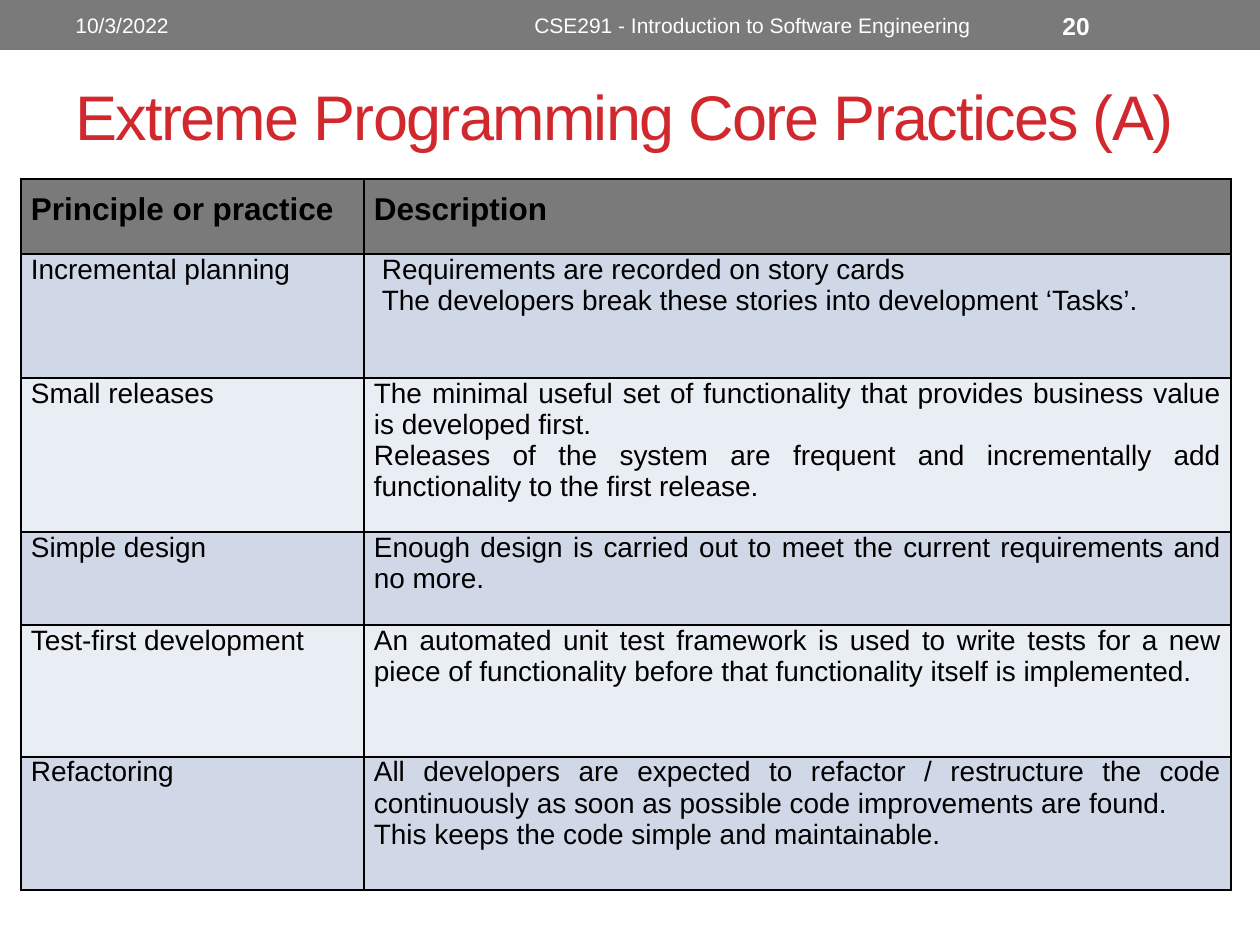
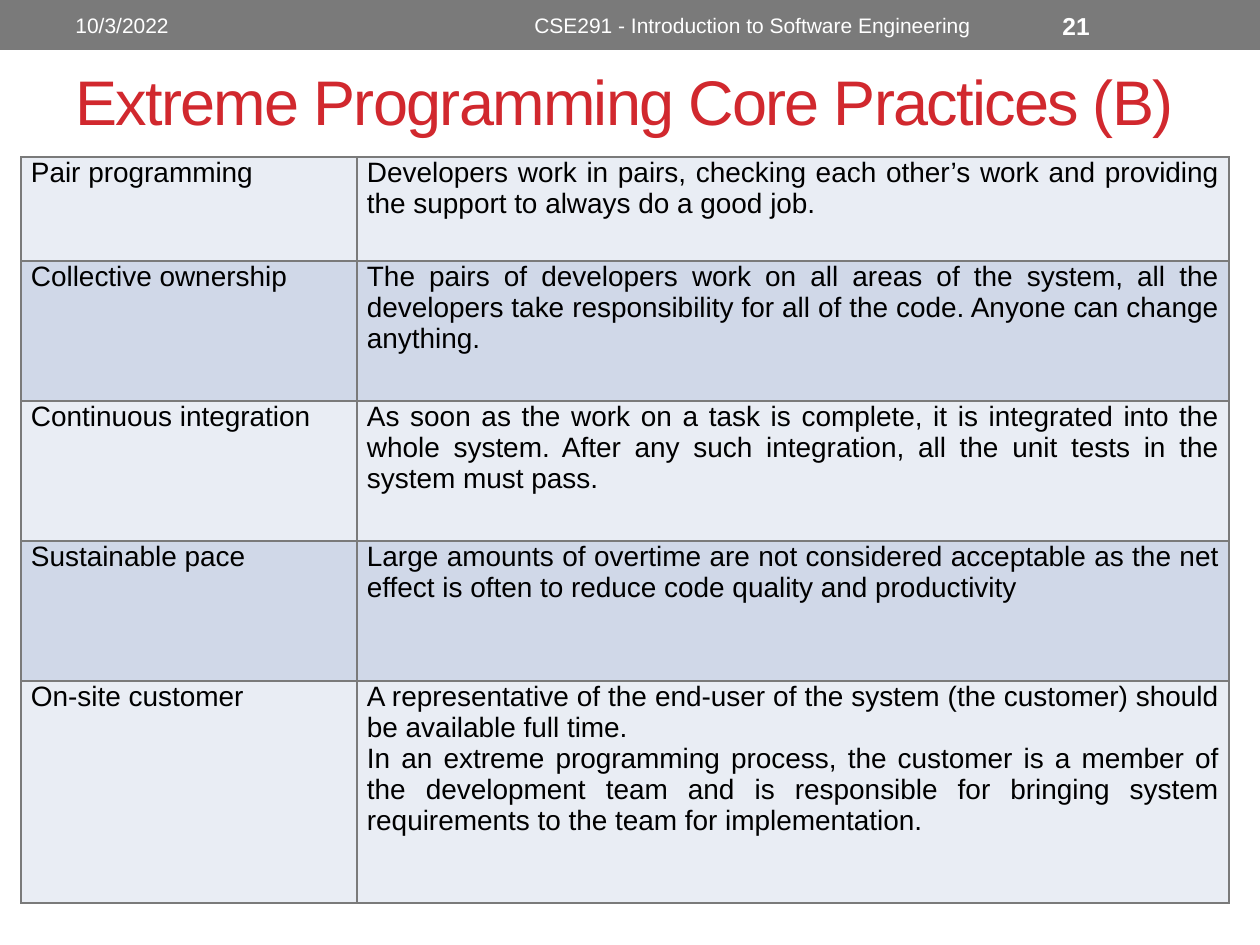
from dataclasses import dataclass

from lxml.etree import SubElement
from pptx import Presentation
from pptx.dml.color import RGBColor
from pptx.enum.shapes import MSO_SHAPE
from pptx.enum.text import MSO_ANCHOR, MSO_AUTO_SIZE, PP_ALIGN
from pptx.oxml.ns import qn
from pptx.util import Emu, Pt

# Shared look
WIDTH, HEIGHT = 1260, 945
FONT = "Arial"
RED = RGBColor(0xD1, 0x28, 0x2E)
GRAY = RGBColor(0x7A, 0x7A, 0x7A)
WHITE = RGBColor(0xFF, 0xFF, 0xFF)
BLACK = RGBColor(0x00, 0x00, 0x00)
BLUE = RGBColor(0xD0, 0xD8, 0xE8)
PALE = RGBColor(0xE9, 0xED, 0xF4)

DATE = "10/3/2022"
COURSE = "CSE291 - Introduction to Software Engineering "
TABLE_LEFT = 21
SIDE_MARGIN, END_MARGIN = 10, 13


def px(n: int) -> Emu:
    return Emu(round(n * 914400 / 126))


@dataclass(frozen=True)
class BandText:
    left: int
    width: int
    size: int
    align: PP_ALIGN = PP_ALIGN.LEFT
    bold: bool = False


DATE_BOX = BandText(63, 399, 12)
COURSE_BOX = BandText(472, 567, 12, PP_ALIGN.CENTER)
NUMBER_BOX = BandText(1050, 147, 14, bold=True)


@dataclass(frozen=True)
class Row:
    height: int
    practice: str
    description: str
    fill: RGBColor
    indent: int = 0
    header: bool = False


@dataclass(frozen=True)
class PracticeSlide:
    number: int
    title: str
    title_top: int
    title_height: int
    table_top: int
    columns: tuple[int, int]
    border: RGBColor
    rows: tuple[Row, ...]


# Content
SLIDES = (
    PracticeSlide(
        20, "Extreme Programming Core Practices (A)", 63, 105, 179, (343, 867), BLACK,
        (
            Row(75, "Principle or practice", "Description", GRAY, header=True),
            Row(124, "Incremental planning",
                "Requirements are recorded on story cards\n"
                "The developers break these stories into development ‘Tasks’.",
                BLUE, indent=8),
            Row(154, "Small releases",
                "The minimal useful set of functionality that provides business value "
                "is developed first.\n"
                "Releases of the system are frequent and incrementally add "
                "functionality to the first release.", PALE),
            Row(93, "Simple design",
                "Enough design is carried out to meet the current requirements and no more.",
                BLUE),
            Row(132, "Test-first development",
                "An automated unit test framework is used to write tests for a new piece of "
                "functionality before that functionality itself is implemented.", PALE),
            Row(133, "Refactoring",
                "All developers are expected to refactor / restructure the code "
                "continuously as soon as possible code improvements are found.\n"
                "This keeps the code simple and maintainable.", BLUE),
        ),
    ),
    PracticeSlide(
        21, "Extreme Programming Core Practices (B)", 53, 95, 157, (336, 872), GRAY,
        (
            Row(104, "Pair programming",
                "Developers work in pairs, checking each other’s work and providing "
                "the support to always do a good job.", PALE),
            Row(140, "Collective ownership",
                "The pairs of developers work on all areas of the system, all the developers "
                "take responsibility for all of the code. Anyone can change anything.", BLUE),
            Row(140, "Continuous integration",
                "As soon as the work on a task is complete, it is integrated into the whole "
                "system. After any such integration, all the unit tests in the system must "
                "pass.", PALE),
            Row(140, "Sustainable pace",
                "Large amounts of overtime are not considered acceptable as the net effect "
                "is often to reduce code quality and productivity", BLUE),
            Row(222, "On-site customer",
                "A representative of the end-user of the system (the customer) should be "
                "available full time.\n"
                "In an extreme programming process, the customer is a member of the "
                "development team and is responsible for bringing system requirements to "
                "the team for implementation.", PALE),
        ),
    ),
)


def style_text(tf, size: int, color: RGBColor, align: PP_ALIGN, bold: bool = False) -> None:
    for p in tf.paragraphs:
        p.alignment = align
        for r in p.runs:
            r.font.name = FONT
            r.font.size = Pt(size)
            r.font.bold = bold
            r.font.color.rgb = color


# Top band with date, course and slide number
def add_band_text(slide, text: str, box: BandText) -> None:
    sp = slide.shapes.add_textbox(px(box.left), px(3), px(box.width), px(45))
    tf = sp.text_frame
    tf.word_wrap = True
    tf.vertical_anchor = MSO_ANCHOR.MIDDLE
    tf.text = text
    style_text(tf, box.size, WHITE, box.align, box.bold)


def add_band(slide, number: int) -> None:
    band = slide.shapes.add_shape(MSO_SHAPE.RECTANGLE, 0, 0, px(WIDTH), px(50))
    band.shadow.inherit = False
    band.fill.solid()
    band.fill.fore_color.rgb = GRAY
    band.line.fill.background()
    add_band_text(slide, DATE, DATE_BOX)
    add_band_text(slide, COURSE, COURSE_BOX)
    add_band_text(slide, str(number), NUMBER_BOX)


def set_title(slide, page: PracticeSlide) -> None:
    title = slide.shapes.title
    title.left, title.top = px(63), px(page.title_top)
    title.width, title.height = px(1134), px(page.title_height)
    tf = title.text_frame
    tf.text = page.title
    tf.auto_size = MSO_AUTO_SIZE.NONE
    tf.vertical_anchor = MSO_ANCHOR.MIDDLE
    style_text(tf, 36, RED, PP_ALIGN.LEFT)
    for r in tf.paragraphs[0].runs:
        r.font._element.set("spc", "-100")


# Table
def set_borders(cell, color: RGBColor) -> None:
    tc_pr = cell._tc.get_or_add_tcPr()
    for side in ("lnL", "lnR", "lnT", "lnB"):
        ln = SubElement(tc_pr, qn(f"a:{side}"), w=str(Pt(1)))
        fill = SubElement(ln, qn("a:solidFill"))
        SubElement(fill, qn("a:srgbClr"), val=str(color))


def fill_cell(cell, text: str, row: Row, border: RGBColor, indent: int = 0) -> None:
    set_borders(cell, border)
    cell.fill.solid()
    cell.fill.fore_color.rgb = row.fill
    cell.margin_left = cell.margin_right = px(SIDE_MARGIN)
    cell.margin_top = px(END_MARGIN if row.header else 0)
    cell.margin_bottom = px(END_MARGIN)
    tf = cell.text_frame
    tf.text = text
    style_text(tf, 18 if row.header else 16, BLACK, PP_ALIGN.JUSTIFY, row.header)
    if indent:
        for p in tf.paragraphs:
            p._p.get_or_add_pPr().set("marL", str(px(indent)))


def add_practice_table(slide, page: PracticeSlide) -> None:
    height = sum(row.height for row in page.rows)
    frame = slide.shapes.add_table(
        len(page.rows), len(page.columns),
        px(TABLE_LEFT), px(page.table_top), px(sum(page.columns)), px(height))
    table = frame.table
    table.first_row = table.horz_banding = False
    for column, width in zip(table.columns, page.columns):
        column.width = px(width)
    for i, row in enumerate(page.rows):
        table.rows[i].height = px(row.height)
        fill_cell(table.cell(i, 0), row.practice, row, page.border)
        fill_cell(table.cell(i, 1), row.description, row, page.border, row.indent)


def main() -> None:
    prs = Presentation()
    prs.slide_width, prs.slide_height = px(WIDTH), px(HEIGHT)
    title_only = prs.slide_layouts[5]
    for page in SLIDES:
        slide = prs.slides.add_slide(title_only)
        add_band(slide, page.number)
        set_title(slide, page)
        add_practice_table(slide, page)
    prs.save("out.pptx")


if __name__ == "__main__":
    main()
